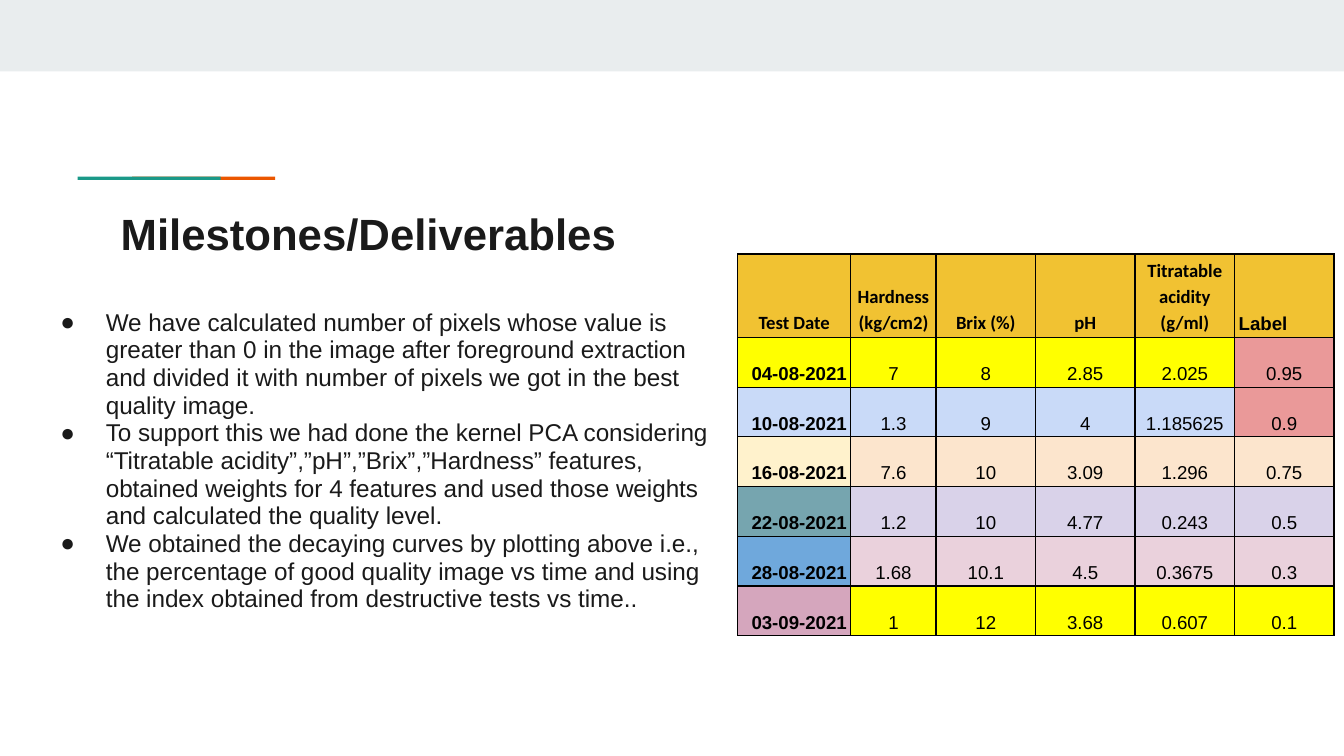
from lxml import etree
from pptx import Presentation
from pptx.dml.color import RGBColor
from pptx.enum import shapes, text
from pptx.oxml.ns import qn
from pptx.util import Cm, Pt

COLORS = {
    "band": "E9EDEE", "teal": "1A9988", "orange": "EB5600",
    "ink": "1A1A1A", "black": "000000", "gold": "F1C232",
    "yellow": "FFFF00", "blue": "C9DAF8", "cream": "FFF2CC",
    "peach": "FCE5CD", "slate": "76A5AF", "lilac": "D9D2E9",
    "sky": "6FA8DC", "pink": "EAD1DC", "mauve": "D5A6BD", "coral": "EA9999",
}
LEFT, CENTER, RIGHT = text.PP_ALIGN.LEFT, text.PP_ALIGN.CENTER, text.PP_ALIGN.RIGHT


def write(p, content, size=10, font="Arial", color="black", bold=False,
          align=LEFT, spacing=1.0):
    p.alignment = align
    p.line_spacing = spacing
    p.space_before = p.space_after = Pt(0)
    r = p.add_run()
    r.text = content
    r.font.size, r.font.name, r.font.bold = Pt(size), font, bold
    r.font.color.rgb = RGBColor.from_string(COLORS[color])


def add_solid_fill(parent, color):
    fill = etree.SubElement(parent, qn("a:solidFill"))
    etree.SubElement(fill, qn("a:srgbClr"), val=COLORS[color])


prs = Presentation()
prs.slide_width, prs.slide_height = Cm(25.4), Cm(14.29)
s = prs.slides.add_slide(prs.slide_layouts[1])

# Top band and two-colour accent line
for color, left, top, width, height in [
    ("band", 0, 0, 25.4, 1.35),
    ("orange", 2.5, 3.34, 2.7, 0.06),
    ("teal", 1.47, 3.34, 2.7, 0.06),
]:
    sp = s.shapes.add_shape(shapes.MSO_SHAPE.RECTANGLE,
                            Cm(left), Cm(top), Cm(width), Cm(height))
    sp.shadow.inherit = False
    sp.fill.solid()
    sp.fill.fore_color.rgb = RGBColor.from_string(COLORS[color])
    sp.line.fill.background()

# Title and list placeholders
title, body = s.shapes.title, s.placeholders[1]
for sp, left, top, width, height in [
    (title, 2.03, 3.66, 21.36, 1.5),
    (body, 0.48, 5.59, 13.28, 6.76),
]:
    sp.left, sp.top, sp.width, sp.height = Cm(left), Cm(top), Cm(width), Cm(height)
    tf = sp.text_frame
    tf.word_wrap = True
    tf.auto_size = text.MSO_AUTO_SIZE.NONE
    tf.vertical_anchor = text.MSO_ANCHOR.TOP
    tf.margin_left = tf.margin_right = tf.margin_top = tf.margin_bottom = Cm(0.25)

write(title.text_frame.paragraphs[0], "Milestones/Deliverables",
      size=23.4, color="ink", bold=True)

points = [
    "We have calculated number of pixels whose value is greater than 0 in the image "
    "after foreground extraction and divided it with number of pixels we got in the "
    "best quality image.",
    "To support this we had done the kernel PCA considering “Titratable "
    "acidity”,”pH”,”Brix”,”Hardness” features, obtained weights for 4 features and "
    "used those weights and calculated the quality level.",
    "We obtained the decaying curves by plotting above i.e., the percentage of good "
    "quality image vs time and using the index obtained from destructive tests vs time..",
]
tf = body.text_frame
for i, point in enumerate(points):
    p = tf.add_paragraph() if i else tf.paragraphs[0]
    pPr = p._p.get_or_add_pPr()
    pPr.set("marL", str(Cm(1.27)))
    pPr.set("indent", str(Cm(-0.86)))
    bullet_color = etree.SubElement(pPr, qn("a:buClr"))
    etree.SubElement(bullet_color, qn("a:srgbClr"), val=COLORS["ink"])
    etree.SubElement(pPr, qn("a:buFont"), typeface="Arial")
    etree.SubElement(pPr, qn("a:buChar"), char="●")
    write(p, point, size=13, color="ink", spacing=0.95)

# Test results: cell texts, then fills of the date, the measurements and the label
rows = [
    ("Test Date|Hardness (kg/cm2)|Brix (%)|pH|Titratable acidity (g/ml)|Label",
     "gold", "gold", "gold"),
    ("04-08-2021|7|8|2.85|2.025|0.95", "yellow", "yellow", "coral"),
    ("10-08-2021|1.3|9|4|1.185625|0.9", "blue", "blue", "coral"),
    ("16-08-2021|7.6|10|3.09|1.296|0.75", "cream", "peach", "peach"),
    ("22-08-2021|1.2|10|4.77|0.243|0.5", "slate", "lilac", "lilac"),
    ("28-08-2021|1.68|10.1|4.5|0.3675|0.3", "sky", "pink", "pink"),
    ("03-09-2021|1|12|3.68|0.607|0.1", "mauve", "yellow", "yellow"),
]
widths = [2.14, 1.61] + [1.88] * 4
heights = [1.35] + [0.94] * 6
table = s.shapes.add_table(len(rows), len(widths), Cm(13.94), Cm(4.8),
                           Cm(sum(widths)), Cm(sum(heights))).table
for col, width in zip(table.columns, widths):
    col.width = Cm(width)
for row, height in zip(table.rows, heights):
    row.height = Cm(height)

for i, (line, date_fill, value_fill, label_fill) in enumerate(rows):
    fills = [date_fill] + [value_fill] * 4 + [label_fill]
    for j, (content, fill) in enumerate(zip(line.split("|"), fills)):
        cell = table.cell(i, j)
        cell.vertical_anchor = text.MSO_ANCHOR.BOTTOM
        cell.margin_left = cell.margin_right = Cm(0.08)
        cell.margin_top = cell.margin_bottom = Cm(0.05)
        tcPr = cell._tc.get_or_add_tcPr()
        for side in ("a:lnL", "a:lnR", "a:lnT", "a:lnB"):
            add_solid_fill(etree.SubElement(tcPr, qn(side), w=str(Pt(0.67))), "black")
        cell.fill.solid()
        cell.fill.fore_color.rgb = RGBColor.from_string(COLORS[fill])

        header, is_label = i == 0, j == len(widths) - 1
        if header:
            align = LEFT if is_label else CENTER
        else:
            align = CENTER if j else RIGHT
        write(cell.text_frame.paragraphs[0], content, bold=header or j == 0,
              font="Calibri" if header and not is_label else "Arial",
              align=align, spacing=1.15)

prs.save("out.pptx")
